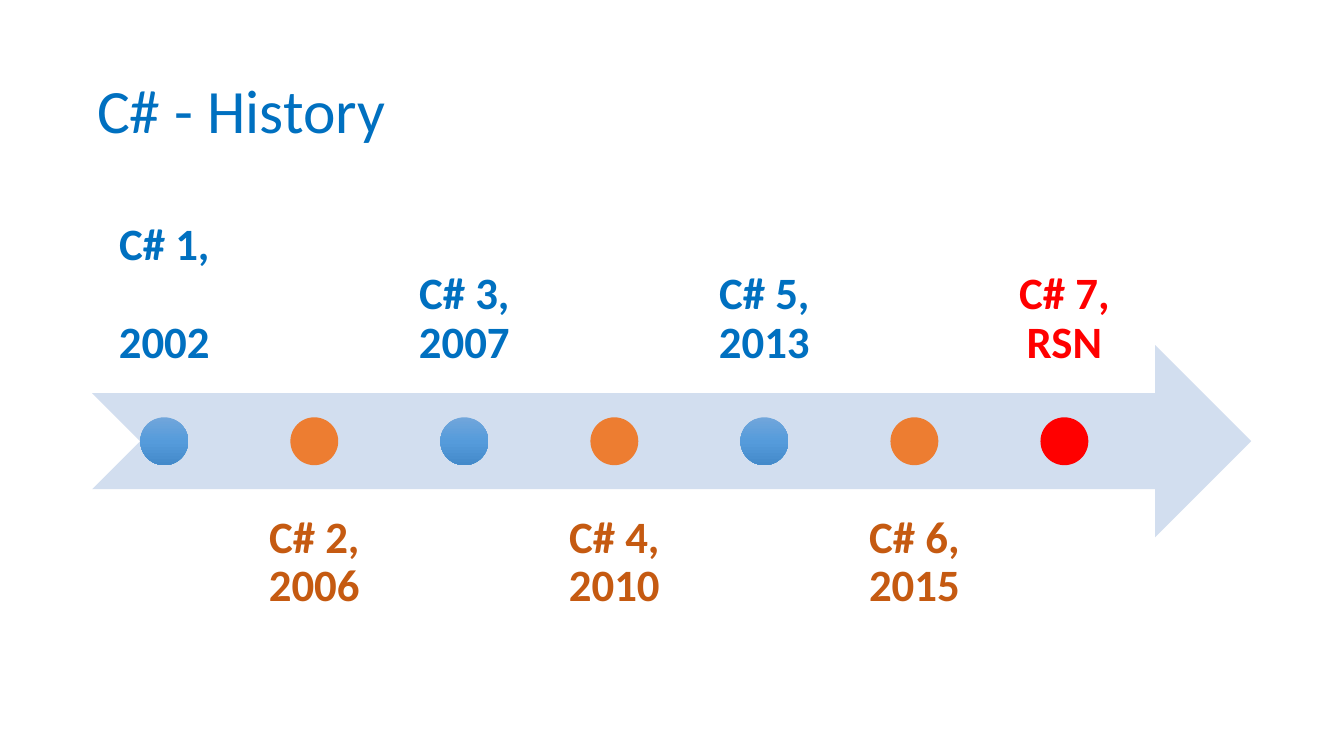
from copy import deepcopy
from pptx import Presentation
from pptx.dml.color import RGBColor
from pptx.enum.shapes import MSO_SHAPE as Kind
from pptx.enum.text import MSO_ANCHOR as Anchor, PP_ALIGN as Align
from pptx.util import Inches, Pt

WIDE, HIGH = 26.67, 15
LEFT, SPAN = 1.83, 23
BAND, TOP = 3.81, 6.85
STEP, WIDTH, DOT = 2.977, 2.84, 0.95
BLUE, RUST, ORANGE, RED = "0070C0", "C55A11", "ED7D31", "FF0000"
SHADES = ["71A6DB", "559BDB", "448ACA"]
EVENTS = [
    (["C# 1,", "2002"], BLUE, SHADES),
    (["C# 2, 2006"], RUST, ORANGE),
    (["C# 3, 2007"], BLUE, SHADES),
    (["C# 4, 2010"], RUST, ORANGE),
    (["C# 5, 2013"], BLUE, SHADES),
    (["C# 6, 2015"], RUST, ORANGE),
    (["C# 7, RSN"], RED, RED),
]


def color(code):
    """Turn a hex string into a colour."""
    return RGBColor.from_string(code)


def blend(fill, shades):
    """Fill from top to bottom with three evenly spaced shades."""
    fill.gradient()
    fill.gradient_angle = 270
    first = fill.gradient_stops[0]._gs
    first.addnext(deepcopy(first))
    for i, (stop, shade) in enumerate(zip(fill.gradient_stops, shades)):
        stop.position = i / 2
        stop.color.rgb = color(shade)


def add_form(slide, kind, box, paint):
    """Add a borderless shape with a plain or blended fill."""
    form = slide.shapes.add_shape(kind, *map(Inches, box))
    form.shadow.inherit = False
    form.line.fill.background()
    if isinstance(paint, str):
        form.fill.solid()
        form.fill.fore_color.rgb = color(paint)
    else:
        blend(form.fill, paint)


def add_text(slide, box, lines, size, tint, anchor, bold=False, inset=0.1):
    """Add wrapped text, one paragraph a line, and return its frame."""
    frame = slide.shapes.add_textbox(*map(Inches, box)).text_frame
    frame.word_wrap = True
    frame.vertical_anchor = anchor
    frame.margin_left = frame.margin_right = Inches(inset)
    frame.margin_top = frame.margin_bottom = Inches(inset)
    frame.text = "\n".join(lines)
    for para in frame.paragraphs:
        para.line_spacing = 0.9
        font = para.runs[0].font
        font.name, font.size, font.bold = "Calibri", Pt(size), bold
        font.color.rgb = color(tint)
    return frame


def add_event(slide, col, lines, tint, paint):
    """Add a label above or below the band, and its dot on the band."""
    left = LEFT + 0.01 + col * STEP
    above = col % 2 == 0
    top = TOP + BAND * (-0.75 if above else 0.75)
    anchor = Anchor.BOTTOM if above else Anchor.TOP
    frame = add_text(slide, (left, top, WIDTH, BAND), lines, 64, tint,
                     anchor, True, 0.5)
    for row, para in enumerate(frame.paragraphs):
        para.alignment = Align.CENTER
        para.space_before = Pt(70 * row)
    spot = left + (WIDTH - DOT) / 2, TOP + (BAND - DOT) / 2, DOT, DOT
    add_form(slide, Kind.OVAL, spot, paint)


def main():
    """Build the timeline slide."""
    deck = Presentation()
    deck.slide_width, deck.slide_height = Inches(WIDE), Inches(HIGH)
    slide = deck.slides.add_slide(deck.slide_layouts[6])
    add_text(slide, (LEFT, 0.8, SPAN, 2.9), ["C# - History"], 88, BLUE,
             Anchor.MIDDLE)
    add_form(slide, Kind.NOTCHED_RIGHT_ARROW, (LEFT, TOP, SPAN, BAND), "D2DEEF")
    for col, event in enumerate(EVENTS):
        add_event(slide, col, *event)
    deck.save("out.pptx")


if __name__ == "__main__":
    main()
